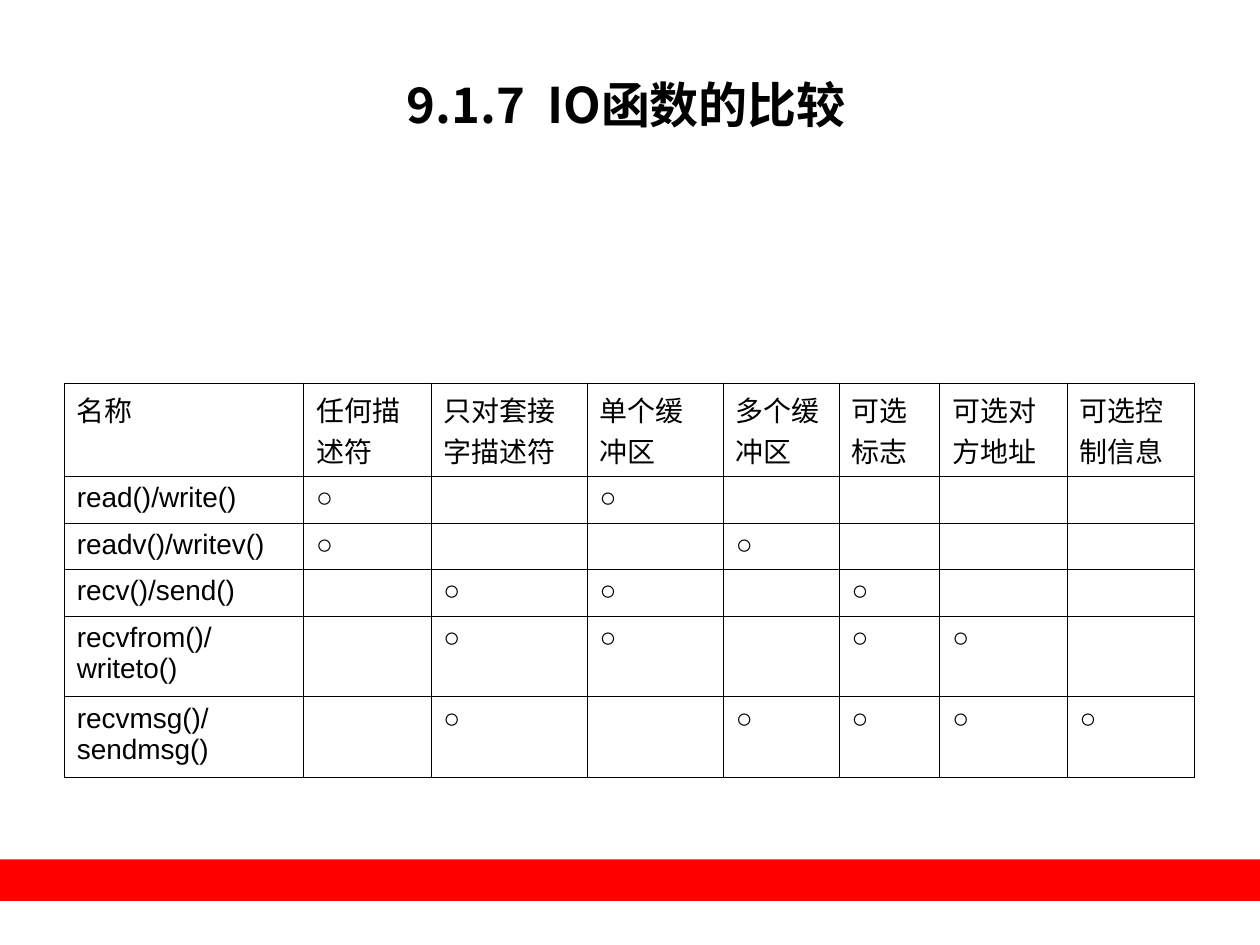
from dataclasses import dataclass

from lxml.etree import SubElement
from pptx import Presentation
from pptx.dml.color import RGBColor
from pptx.enum.shapes import MSO_SHAPE as Shape
from pptx.enum.text import MSO_ANCHOR as Anchor, PP_ALIGN as Align
from pptx.oxml.ns import qn
from pptx.util import Inches, Pt


@dataclass(frozen=True)
class Theme:
    ink: str = "000000"
    band: str = "FF0000"
    title_size: float = 28
    cell_size: float = 16
    border_width: float = 0.45
    cjk_font: str = "Noto Sans CJK SC"
    cell_font: str = "Arial"
    corner_font: str = "Times New Roman"


THEME = Theme()
TITLE = "9.1.7  IO函数的比较"
MARK = "○"
COLUMNS = [
    ("名称", 1.9),
    ("任何描述符", 1.01),
    ("只对套接字描述符", 1.24),
    ("单个缓冲区", 1.08),
    ("多个缓冲区", 0.92),
    ("可选标志", 0.8),
    ("可选对方地址", 1.01),
    ("可选控制信息", 1.01),
]
HEADER_HEIGHT = 0.74
FUNCTIONS = [
    ("read()/write()", 0.37, {1, 3}),
    ("readv()/writev()", 0.37, {1, 4}),
    ("recv()/send()", 0.37, {2, 3, 5}),
    ("recvfrom()/writeto()", 0.64, {2, 3, 5, 6}),
    ("recvmsg()/sendmsg()", 0.64, {2, 4, 5, 6, 7}),
]


def style_text(paragraph, text, size, font, bold=False, cjk=False):
    run = paragraph.add_run()
    run.text = text
    paragraph.font.size = Pt(size)
    paragraph.font.name = font
    paragraph.font.bold = bold
    paragraph.font.color.rgb = RGBColor.from_string(THEME.ink)
    if cjk:
        SubElement(run.font._element, qn("a:ea"), typeface=THEME.cjk_font)


def add_borders(cell):
    properties = cell._tc.get_or_add_tcPr()
    for index, side in enumerate(("lnL", "lnR", "lnT", "lnB")):
        line = properties.makeelement(qn(f"a:{side}"), {"w": str(Pt(THEME.border_width))})
        fill = SubElement(line, qn("a:solidFill"))
        SubElement(fill, qn("a:srgbClr"), val=THEME.ink)
        properties.insert(index, line)


def add_band(slide):
    band = slide.shapes.add_shape(
        Shape.RECTANGLE, 0, Inches(6.82), Inches(10), Inches(0.33))
    band.shadow.inherit = False
    band.fill.solid()
    band.fill.fore_color.rgb = RGBColor.from_string(THEME.band)
    band.line.fill.background()


def add_title(slide):
    box = slide.shapes.add_textbox(Inches(0.97), Inches(0.58), Inches(8), Inches(0.96))
    frame = box.text_frame
    frame.word_wrap = True
    frame.vertical_anchor = Anchor.TOP
    frame.margin_left = frame.margin_right = Inches(0.01)
    frame.margin_top = frame.margin_bottom = Inches(0.01)
    paragraph = frame.paragraphs[0]
    paragraph.alignment = Align.CENTER
    style_text(paragraph, TITLE, THEME.title_size, THEME.cjk_font, bold=True, cjk=True)


def add_comparison(slide):
    names = [name for name, _ in COLUMNS]
    widths = [width for _, width in COLUMNS]
    heights = [HEADER_HEIGHT] + [height for _, height, _ in FUNCTIONS]
    rows = [names] + [
        [name] + [MARK if column in marks else "" for column in range(1, len(COLUMNS))]
        for name, _, marks in FUNCTIONS
    ]
    table = slide.shapes.add_table(
        len(rows), len(COLUMNS), Inches(0.51), Inches(3.04),
        Inches(sum(widths)), Inches(sum(heights))).table
    table.first_row = table.horz_banding = False
    for column, width in zip(table.columns, widths):
        column.width = Inches(width)
    for row, height in zip(table.rows, heights):
        row.height = Inches(height)
    for row_index, texts in enumerate(rows):
        for column_index, text in enumerate(texts):
            cell = table.cell(row_index, column_index)
            cell.fill.background()
            add_borders(cell)
            header = row_index == 0
            font = THEME.corner_font if header and column_index == 0 else THEME.cell_font
            paragraph = cell.text_frame.paragraphs[0]
            if text:
                style_text(paragraph, text, THEME.cell_size, font, cjk=header)
            else:
                paragraph.font.size = Pt(THEME.cell_size)


def main():
    presentation = Presentation()
    presentation.slide_width = Inches(10)
    presentation.slide_height = Inches(7.5)
    slide = presentation.slides.add_slide(presentation.slide_layouts[6])
    add_band(slide)
    add_title(slide)
    add_comparison(slide)
    presentation.save("out.pptx")


if __name__ == "__main__":
    main()
